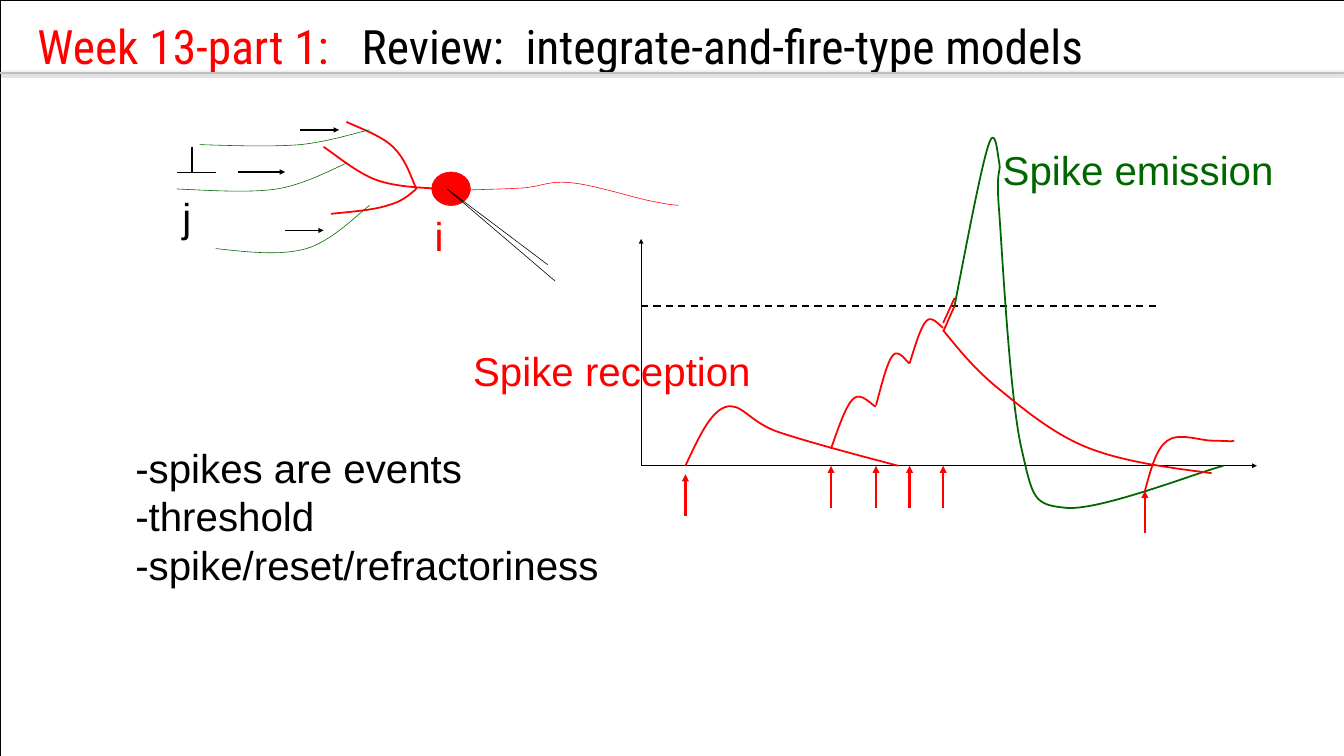
from dataclasses import dataclass

from lxml import etree
from pptx import Presentation
from pptx import util as u
from pptx.dml.color import RGBColor
from pptx.enum import dml, shapes, text
from pptx.oxml import ns


class Theme:
    red = RGBColor(0xFF, 0, 0)
    green = RGBColor(0, 0x66, 0)
    black = RGBColor(0, 0, 0)
    gray = RGBColor(0xBF, 0xBF, 0xBF)
    head = "Roboto Condensed"
    body = "Arial"
    title = u.Pt(60)
    label = u.Pt(51)
    thin, mid, thick = 0.75, 2.25, 3


@dataclass
class Box:
    slide: object
    left: float
    top: float
    width: float
    height: float

    def place(self, x, y):
        return u.Cm(self.left + x), u.Cm(self.top + y)


def child(node, tag, **attrs):
    return etree.SubElement(node, ns.qn(tag), attrs)


def line(box, start, end, color=Theme.black, width=Theme.thin, arrow=False):
    link = box.slide.shapes.add_connector(
        shapes.MSO_CONNECTOR.STRAIGHT, *box.place(*start), *box.place(*end))
    link.line.color.rgb = color
    link.line.width = u.Pt(width)
    if arrow:
        child(link.line._ln, "a:tailEnd", type="triangle")
    child(link._element.spPr, "a:effectLst")
    return link


def curve(box, points, color=Theme.red, width=Theme.mid):
    spots = [box.place(*point) for point in points]
    pen = box.slide.shapes.build_freeform(*spots[0])
    pen.add_line_segments(spots[1:], close=False)
    shape = pen.convert_to_shape()
    shape.shadow.inherit = False
    shape.fill.background()
    shape.line.color.rgb = color
    shape.line.width = u.Pt(width)
    route = shape._element.find(".//" + ns.qn("a:path"))
    steps = route.findall(ns.qn("a:lnTo"))
    for first in range(0, len(steps), 3):
        bend = child(route, "a:cubicBezTo")
        for step in steps[first:first + 3]:
            bend.append(step[0])
            route.remove(step)


def inset(frame, x, y):
    frame.margin_left = frame.margin_right = u.Cm(x)
    frame.margin_top = frame.margin_bottom = u.Cm(y)


def label(box, words, x, y, width, height, color, pad=(0.53, 0.28)):
    frame = box.slide.shapes.add_textbox(
        *box.place(x, y), u.Cm(width), u.Cm(height)).text_frame
    frame.word_wrap = False
    frame.auto_size = text.MSO_AUTO_SIZE.SHAPE_TO_FIT_TEXT
    inset(frame, *pad)
    par = frame.paragraphs[0]
    par.text = words
    style(par, Theme.body, Theme.label, color)


def style(par, name, size, color):
    par.font.name = name
    par.font.size = size
    par.font.color.rgb = color


def settle(holder, box):
    holder.left, holder.top = box.place(0, 0)
    holder.width, holder.height = u.Cm(box.width), u.Cm(box.height)
    holder.text_frame.auto_size = text.MSO_AUTO_SIZE.NONE
    return holder.text_frame


def header(box):
    frame = settle(box.slide.shapes.title, box)
    frame.vertical_anchor = text.MSO_ANCHOR.MIDDLE
    par = frame.paragraphs[0]
    par.alignment = text.PP_ALIGN.LEFT
    par.space_after = u.Pt(28.4)
    tabs = child(par._p.get_or_add_pPr(), "a:tabLst")
    for stop in (14.48, 21.8):
        child(tabs, "a:tab", pos=str(u.Cm(stop)), algn="l")
    style(par, Theme.head, Theme.title, Theme.black)
    week = par.add_run()
    week.text = "Week 13-part 1:"
    week.font.color.rgb = Theme.red
    par.add_run().text = "\tReview:\tintegrate-and-fire-type models"


def border(box):
    frame = box.slide.shapes.add_shape(
        shapes.MSO_SHAPE.RECTANGLE, *box.place(0, 0), u.Cm(box.width), u.Cm(box.height))
    frame.shadow.inherit = False
    frame.fill.background()
    frame.line.color.rgb = Theme.black
    frame.line.width = u.Pt(Theme.thin)
    rule = line(box, (0, 3.25), (box.width, 3.25), Theme.gray, 2)
    glow = child(rule._element.spPr.find(ns.qn("a:effectLst")), "a:outerShdw",
                 blurRad=str(u.Pt(3.1)), dist=str(u.Pt(1.6)), dir="5400000", rotWithShape="0")
    child(child(glow, "a:srgbClr", val="000000"), "a:alpha", val="38000")


def points(box):
    frame = settle(box.slide.placeholders[1], box)
    inset(frame, 0.53, 0.28)
    rows = ("-spikes are events", "-threshold", "-spike/reset/refractoriness")
    frame.text = "\n".join(rows)
    for par in frame.paragraphs:
        props = par._p.get_or_add_pPr()
        props.set("marL", "0")
        props.set("indent", "0")
        child(props, "a:buNone")
        par.space_before = u.Pt(0)
        par.line_spacing = 1.0
        style(par, Theme.body, Theme.label, Theme.black)


def neuron(box):
    soma = box.slide.shapes.add_shape(
        shapes.MSO_SHAPE.OVAL, *box.place(11.38, 2.24), u.Cm(1.73), u.Cm(1.5))
    soma.shadow.inherit = False
    soma.fill.solid()
    soma.fill.fore_color.rgb = soma.line.color.rgb = Theme.red
    soma.line.width = u.Pt(Theme.thin)
    axon = [(12.75, 3.05), (13.74, 3.02), (14.71, 3), (15.52, 2.95), (16.31, 2.87),
            (16.66, 2.62), (17.58, 2.72), (18.49, 2.79), (20.22, 3.33), (21.03, 3.51),
            (21.84, 3.68), (22.12, 3.71), (22.4, 3.73)]
    curve(box, axon, width=Theme.thin)
    for branch in (
        [(12.07, 3), (10.97, 2.95), (9.88, 2.92), (8.97, 2.62), (8.05, 2.31), (6.96, 1.37), (6.55, 1.12)],
        [(10.69, 3), (10.36, 3.28), (10.06, 3.56), (9.42, 3.73), (8.79, 3.94), (7.85, 4.01), (6.88, 4.11)],
        [(10.69, 3), (10.41, 2.31), (10.16, 1.6), (9.65, 1.12), (9.14, 0.61), (7.92, 0.18), (7.57, 0)],
    ):
        curve(box, branch)
    for input in (
        [(0, 3), (1.6, 3.07), (3.2, 3.18), (4.47, 3), (5.74, 2.79), (7.06, 2.06), (7.57, 1.85)],
        [(1.02, 1.02), (2.64, 1.07), (4.24, 1.12), (5.51, 1.02), (6.78, 0.89), (8.1, 0.46), (8.61, 0.36)],
        [(1.73, 5.66), (3.18, 5.82), (4.65, 5.99), (5.79, 5.66), (6.93, 5.33), (8.15, 4.06), (8.61, 3.73)],
    ):
        curve(box, input, Theme.green, Theme.thin)
    for x, end, y in ((2.74, 4.83, 2.24), (4.83, 6.55, 4.85), (5.51, 7.24, 0.36)):
        line(box, (x, y), (end, y), width=Theme.mid, arrow=True)
    line(box, (0, 2.24), (1.73, 2.24))
    line(box, (0.69, 1.12), (0.69, 2.24), width=Theme.mid)
    for tip in ((16.89, 7.11), (16.56, 6.38)):
        line(box, tip, (12.07, 3))
    label(box, "i", 11.02, 3.73, 1.02, 2.72, Theme.red)
    label(box, "j", 0, 3, 0.64, 2.44, Theme.black, (0.25, 0.13))


def bump(box, x, y, height):
    width = 2 if height > 2.5 and x < 10 else 1.5
    form = ((0, 0), (0.17, 0.37), (0.33, 0.75), (0.5, 0.87), (0.67, 1), (0.92, 0.75), (1, 0.73))
    curve(box, [(x + width * a, y - height * b) for a, b in form])


def plot(box):
    line(box, (0, 0), (box.width, 0), arrow=True)
    line(box, (0, 0), (0, -box.height), arrow=True)
    limit = line(box, (0, -7.14), (22.99, -7.14), width=Theme.mid)
    limit.line.dash_style = dml.MSO_LINE.DASH
    for x, tip in ((1.98, 0.38), (8.48, 0), (10.49, 0), (11.99, 0), (13.49, 0), (22.5, 1.12)):
        line(box, (x, tip + 1.88), (x, tip), Theme.red, Theme.thick, True)
    curve(box, [(1.98, 0), (2.54, -1.19), (3.07, -2.39), (3.76, -2.62), (4.47, -2.87),
                (4.85, -1.93), (6.15, -1.5), (7.44, -1.07), (9.47, -0.53), (11.48, 0)])
    for x, y, height in ((8.48, -0.76, 2.57), (10.49, -2.69, 2.57), (11.99, -4.57, 2.18)):
        bump(box, x, y, height)
    line(box, (13.49, -5.99), (14, -7.14), Theme.red, Theme.mid)
    line(box, (14, -7.49), (13.49, -6.38), Theme.red, Theme.mid)
    spike = [(14, -7.14), (14.58, -10.16), (15.16, -13.18), (15.49, -14.25), (15.82, -15.32),
             (15.9, -14), (16, -13.51), (16.08, -13), (15.82, -13.39), (16, -11.25),
             (16.15, -9.12), (16.48, -2.95), (16.99, -0.76), (17.5, 1.45), (17.5, 1.75),
             (19, 1.88), (20.5, 2.01), (24.84, 0.3), (26.01, 0)]
    curve(box, spike, Theme.green)
    curve(box, [(13.49, -6.05), (14.2, -5.18), (14.91, -4.29), (15.98, -3.43), (17.07, -2.54),
                (18.39, -1.42), (19.99, -0.79), (21.56, -0.18), (23.52, 0.08), (25.48, 0.33)])
    curve(box, [(22.5, 1.12), (22.76, 0.18), (22.99, -0.76), (23.5, -1.12), (24, -1.5),
                (24.99, -1.12), (25.5, -1.12), (26.01, -1.12), (26.42, -1.07), (26.49, -1.12)])
    label(box, "Spike reception", -8.03, -5.64, 13.61, 2.72, Theme.red)
    label(box, "Spike emission", 15.9, -14.43, 12.73, 2.44, Theme.green, (0.25, 0.13))


def main():
    deck = Presentation()
    deck.slide_width, deck.slide_height = u.Cm(60.02), u.Cm(33.76)
    slide = deck.slides.add_slide(deck.slide_layouts[1])
    border(Box(slide, 0, 0, 60.02, 33.76))
    header(Box(slide, 1.42, 0, 57.94, 4.09))
    neuron(Box(slide, 7.9, 5.44, 22.4, 7.11))
    plot(Box(slide, 28.63, 20.8, 27.5, 10.13))
    points(Box(slide, 5.51, 19.51, 21.97, 7.09))
    deck.save("out.pptx")


if __name__ == "__main__":
    main()
